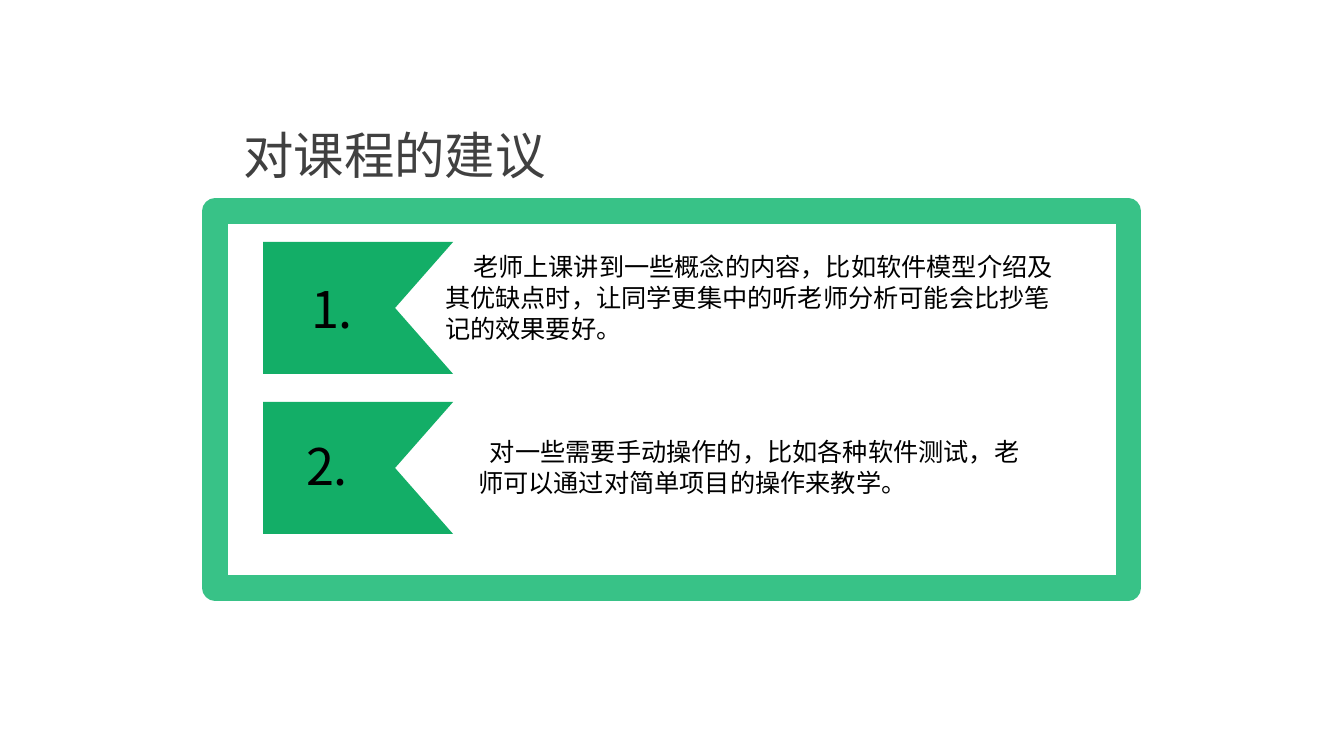
import pptx
import pptx.dml.color
import pptx.enum.shapes
import pptx.enum.text
import pptx.oxml
import pptx.oxml.ns
import pptx.util

PX = 914400 / 100.8
FONT = "Noto Sans CJK SC"
FRAME_GREEN = pptx.dml.color.RGBColor(0x38, 0xC2, 0x87)
FLAG_GREEN = pptx.dml.color.RGBColor(0x13, 0xAE, 0x67)
TITLE_GRAY = pptx.dml.color.RGBColor(0x40, 0x40, 0x40)
BLACK = pptx.dml.color.RGBColor(0, 0, 0)


def emu(px):
    return pptx.util.Emu(round(px * PX))


def write_text(frame, text, size=18, color=BLACK, line=None, indent=0,
               align=pptx.enum.text.PP_ALIGN.LEFT):
    para = frame.paragraphs[0]
    para.alignment = align
    if line:
        para.line_spacing = pptx.util.Pt(line)
    if indent:
        para._p.get_or_add_pPr().set("indent", str(emu(indent)))
    span = para.add_run()
    span.text = text
    span.font.name = FONT
    span.font.size = pptx.util.Pt(size)
    span.font.color.rgb = color
    east_asian = pptx.oxml.parse_xml(
        f'<a:ea {pptx.oxml.ns.nsdecls("a")} typeface="{FONT}"/>')
    span.font._element.find(pptx.oxml.ns.qn("a:latin")).addnext(east_asian)


class SuggestionPage:
    def __init__(self, deck):
        self.page = deck.slides.add_slide(deck.slide_layouts[5])
        self.shapes = self.page.shapes

    def title(self, text, left, top, width, height):
        box = self.shapes.title
        box.left, box.top = emu(left), emu(top)
        box.width, box.height = emu(width), emu(height)
        frame = box.text_frame
        frame.margin_left = frame.margin_right = 0
        frame.margin_top = frame.margin_bottom = 0
        frame.auto_size = pptx.enum.text.MSO_AUTO_SIZE.NONE
        frame.vertical_anchor = pptx.enum.text.MSO_ANCHOR.MIDDLE
        write_text(frame, text, size=36, color=TITLE_GRAY,
                   align=pptx.enum.text.PP_ALIGN.CENTER)

    def frame(self, left, top, width, height):
        border = self.shapes.add_shape(
            pptx.enum.shapes.MSO_SHAPE.RECTANGLE,
            emu(left), emu(top), emu(width), emu(height))
        border.shadow.inherit = False
        border.fill.background()
        border.line.color.rgb = FRAME_GREEN
        border.line.width = pptx.util.Pt(18)

    def flag(self, left, top, width, height, notch):
        right, bottom = left + width, top + height
        builder = self.shapes.build_freeform(left, top, scale=PX)
        builder.add_line_segments([
            (right, top), (right - notch, top + height // 2),
            (right, bottom), (left, bottom)], close=True)
        flag = builder.convert_to_shape()
        flag.shadow.inherit = False
        flag.fill.solid()
        flag.fill.fore_color.rgb = FLAG_GREEN
        flag.line.fill.background()

    def text(self, text, left, top, width, height, **style):
        box = self.shapes.add_textbox(
            emu(left), emu(top), emu(width), emu(height))
        box.text_frame.word_wrap = True
        write_text(box.text_frame, text, **style)


def main():
    deck = pptx.Presentation()
    deck.slide_width = pptx.util.Inches(13.33)
    deck.slide_height = pptx.util.Inches(7.5)
    page = SuggestionPage(deck)
    page.frame(215, 211, 913, 377)
    page.title("对课程的建议", 223, 124, 343, 61)
    suggestions = [
        ("1.", (301, 271, 74, 72),
         "老师上课讲到一些概念的内容，比如软件模型介绍及其优缺点时，"
         "让同学更集中的听老师分析可能会比抄笔记的效果要好。",
         (435, 246, 647, 102), 28),
        ("2.", (296, 428, 76, 72),
         "对一些需要手动操作的，比如各种软件测试，"
         "老师可以通过对简单项目的操作来教学。",
         (468, 431, 564, 72), 12),
    ]
    for row, (number, number_area, advice, advice_area, indent) in enumerate(suggestions):
        page.flag(263, 242 + 160 * row, 190, 132, notch=58)
        page.text(number, *number_area, size=36, line=45)
        page.text(advice, *advice_area, line=22, indent=indent)
    deck.save("out.pptx")


if __name__ == "__main__":
    main()
